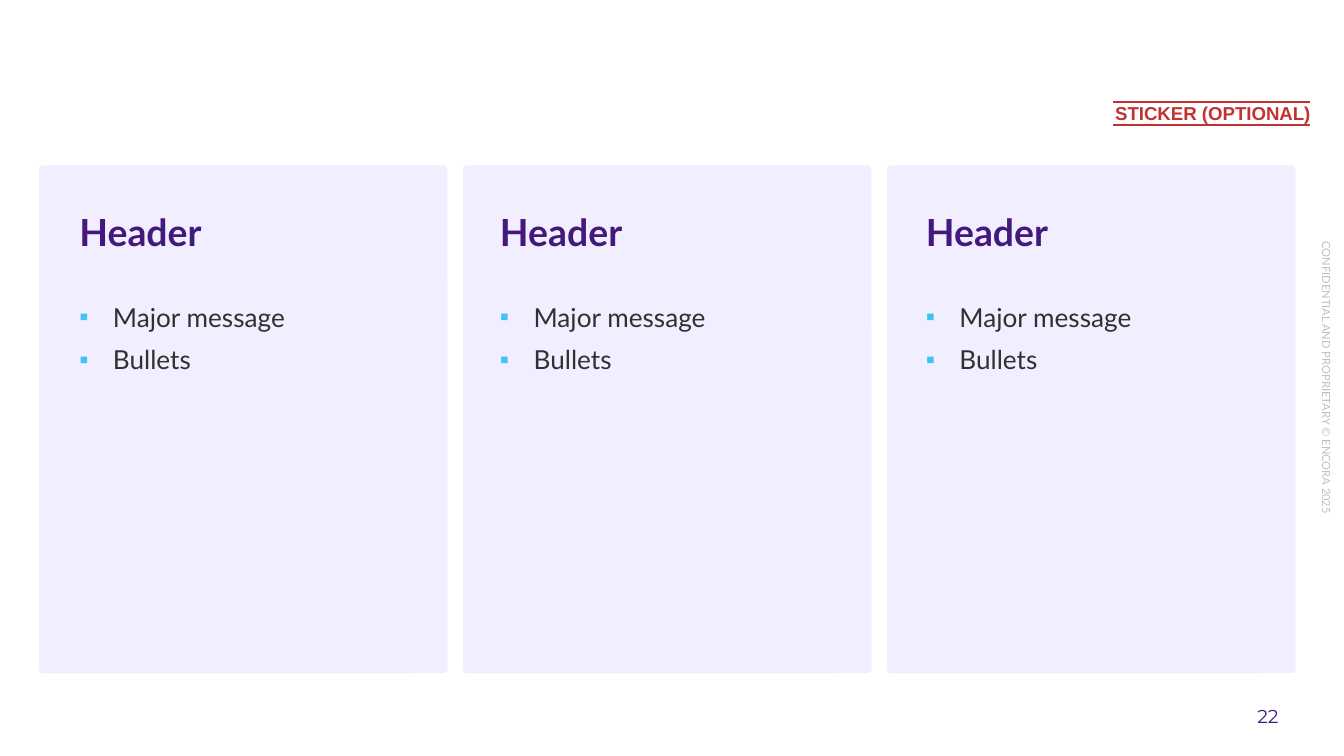
"""Build a slide with three bulleted cards, a sticker and a page number."""
from dataclasses import dataclass
from typing import Any, Iterator, Optional

from lxml import etree
from pptx import Presentation
from pptx import util as u
from pptx.dml import color
from pptx.enum import shapes, text
from pptx.oxml import ns

PURPLE, RED, CYAN = "44197E", "C33131", "40C3F0"
LILAC, CHARCOAL, SILVER = "F0EEFF", "303130", "C0C0C0"
SLIDE_WIDTH = 10
SLIDE_HEIGHT = SLIDE_WIDTH * 9 / 16
FIRST_CARD, LAST_CARD = 0.29, 6.6
CARD_TOP, CARD_WIDTH, CARD_HEIGHT = 1.23, 3.04, 3.78
ALIGN, ANCHOR = text.PP_ALIGN, text.MSO_ANCHOR
HEADER_FONT = {"name": "Lato", "size": u.Pt(20), "bold": True}
LIST_FONT = {"name": "Lato", "size": u.Pt(14), "bold": False}


@dataclass
class Box:
    """Place of a shape in inches."""
    left: float
    top: float
    width: float
    height: float

    def lengths(self) -> list[u.Length]:
        """Return left, top, width and height as lengths."""
        return [u.Inches(value) for value in (self.left, self.top, self.width, self.height)]


@dataclass
class Column:
    """A card's text column."""
    text_left: float
    header: str
    messages: list[str]


COLUMNS = [Column(left, "Header", ["Major message", "Bullets"]) for left in (0.49, 3.62, 6.79)]
CARD_STEP = (LAST_CARD - FIRST_CARD) / (len(COLUMNS) - 1)


def rgb(value: str) -> color.RGBColor:
    """Turn a hex string into a colour."""
    return color.RGBColor.from_string(value)


def apply_format(target: Any, values: dict[str, Any]) -> None:
    """Set each named attribute on the target."""
    for name, value in values.items():
        setattr(target, name, value)


def add_bullet(paragraph: Any) -> None:
    """Give a paragraph a hanging square bullet."""
    properties = paragraph._p.get_or_add_pPr()
    properties.set("marL", str(u.Inches(0.25)))
    properties.set("indent", str(u.Inches(-0.25)))
    bullet_color = etree.SubElement(properties, ns.qn("a:buClr"))
    etree.SubElement(bullet_color, ns.qn("a:srgbClr"), val=CYAN)
    etree.SubElement(properties, ns.qn("a:buFont"), typeface="Arial")
    etree.SubElement(properties, ns.qn("a:buChar"), char="▪")


def write_text(slide: Any, box: Box, lines: list[str], font: dict[str, Any], ink: str,
               align: Any = ALIGN.LEFT, anchor: Any = ANCHOR.TOP, wrap: bool = True,
               margin: Optional[float] = None, bullets: bool = False,
               placeholder: Any = None) -> Any:
    """Write lines into a placeholder, or into a new text box."""
    shape = placeholder or slide.shapes.add_textbox(*box.lengths())
    slide.shapes._spTree.append(shape._element)
    apply_format(shape, dict(zip(("left", "top", "width", "height"), box.lengths())))
    frame = shape.text_frame
    apply_format(frame, {"word_wrap": wrap, "vertical_anchor": anchor,
                         "auto_size": text.MSO_AUTO_SIZE.NONE})
    if margin is not None:
        sides = ("left", "top", "right", "bottom")
        apply_format(frame, {f"margin_{side}": u.Inches(margin) for side in sides})
    for index, line in enumerate(lines):
        paragraph = frame.add_paragraph() if index else frame.paragraphs[0]
        apply_format(paragraph, {"alignment": align, "space_before": u.Pt(6 if index else 0)})
        if bullets:
            add_bullet(paragraph)
        run = paragraph.add_run()
        run.text = line
        apply_format(run.font, font)
        run.font.color.rgb = rgb(ink)
    return shape


def add_card(slide: Any, box: Box) -> None:
    """Draw a slightly rounded card."""
    card = slide.shapes.add_shape(shapes.MSO_SHAPE.ROUNDED_RECTANGLE, *box.lengths())
    card.adjustments[0] = 0.01
    card.shadow.inherit = False
    card.fill.solid()
    card.fill.fore_color.rgb = rgb(LILAC)
    card.line.fill.background()


def add_rule(slide: Any, left: float, right: float, top: float) -> None:
    """Draw a thin horizontal rule."""
    ends = [u.Inches(value) for value in (left, top, right, top)]
    rule = slide.shapes.add_connector(shapes.MSO_CONNECTOR.STRAIGHT, *ends)
    rule.line.width = u.Pt(0.75)
    rule.line.color.rgb = rgb(RED)
    etree.SubElement(rule._element.spPr, ns.qn("a:effectLst"))


def add_column(slide: Any, column: Column, spare: Iterator[Any]) -> None:
    """Write a header and its list, using placeholders while they last."""
    write_text(slide, Box(column.text_left, 1.51, 2.69, 0.44), [column.header],
               HEADER_FONT, PURPLE, placeholder=next(spare, None))
    write_text(slide, Box(column.text_left, 2.19, 2.69, 0.66), column.messages,
               LIST_FONT, CHARCOAL, bullets=True, placeholder=next(spare, None))


def add_sticker(slide: Any, box: Box) -> None:
    """Write the sticker between two rules."""
    write_text(slide, box, ["STICKER (OPTIONAL)"],
               {"name": "Arial", "size": u.Pt(10), "bold": True}, RED,
               align=ALIGN.RIGHT, wrap=False, margin=0)
    for top in (box.top, box.top + box.height):
        add_rule(slide, box.left, box.left + box.width, top)


def main() -> None:
    """Build and save the presentation."""
    presentation = Presentation()
    apply_format(presentation, {"slide_width": u.Inches(SLIDE_WIDTH),
                                "slide_height": u.Inches(SLIDE_HEIGHT)})
    slide = presentation.slides.add_slide(presentation.slide_layouts.get_by_name("Comparison"))
    title, *bodies = slide.placeholders
    slide.shapes._spTree.remove(title._element)

    notice = write_text(slide, Box(8.8, 2.76, 2.14, 0.1),
                        ["CONFIDENTIAL AND PROPRIETARY © ENCORA 2025"],
                        {"name": "Lato", "size": u.Pt(6)}, SILVER,
                        align=ALIGN.CENTER, margin=0)
    notice.rotation = 90
    add_sticker(slide, Box(8.28, 0.76, 1.47, 0.17))
    write_text(slide, Box(8.99, 5.15, 0.62, 0.35), ["22"],
               {"name": "Montserrat", "size": u.Pt(10)}, PURPLE,
               align=ALIGN.RIGHT, anchor=ANCHOR.MIDDLE, margin=0.1)

    for index in range(len(COLUMNS)):
        add_card(slide, Box(FIRST_CARD + index * CARD_STEP, CARD_TOP, CARD_WIDTH, CARD_HEIGHT))
    spare = iter(bodies)
    for column in COLUMNS:
        add_column(slide, column, spare)
    presentation.save("out.pptx")


if __name__ == "__main__":
    main()
